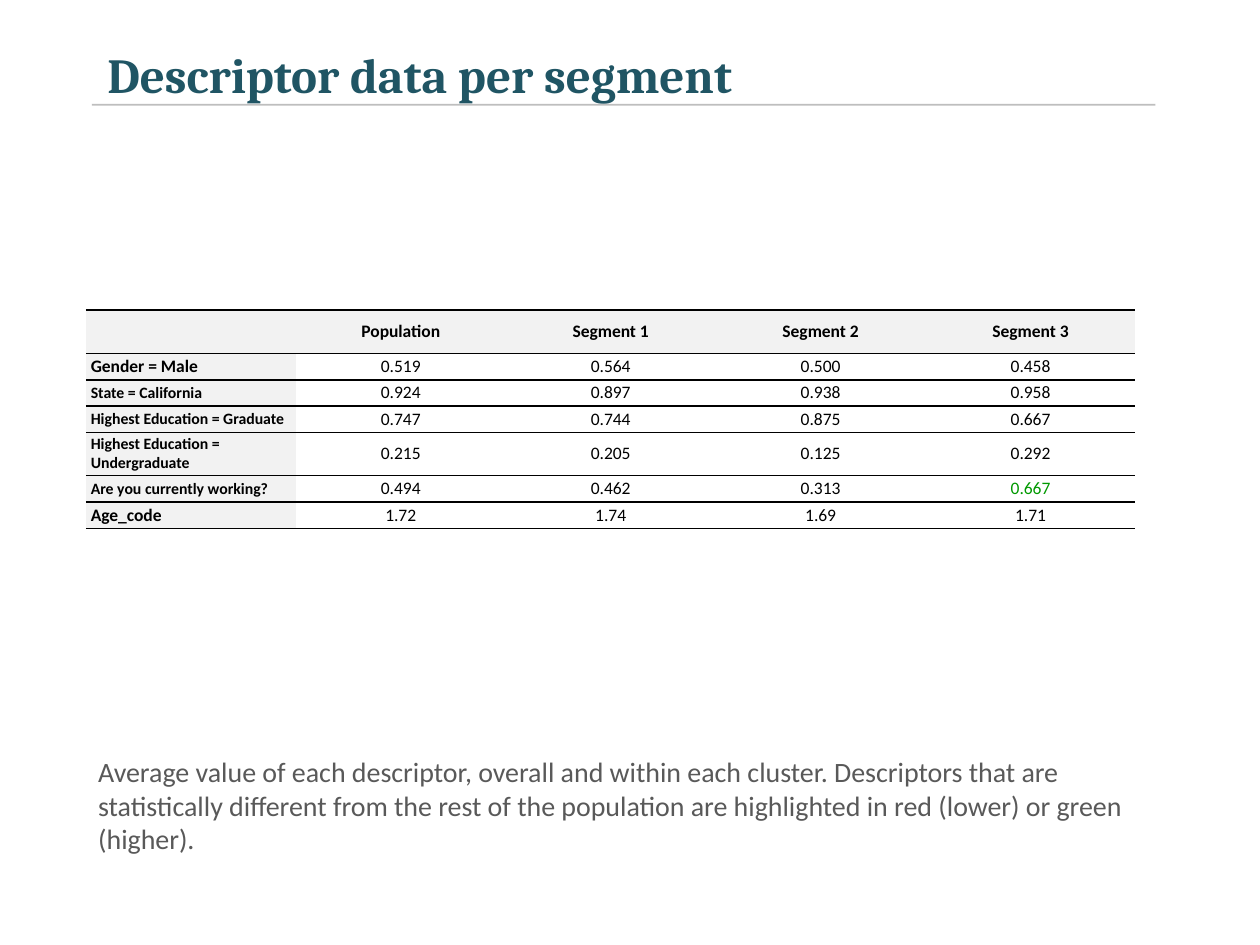
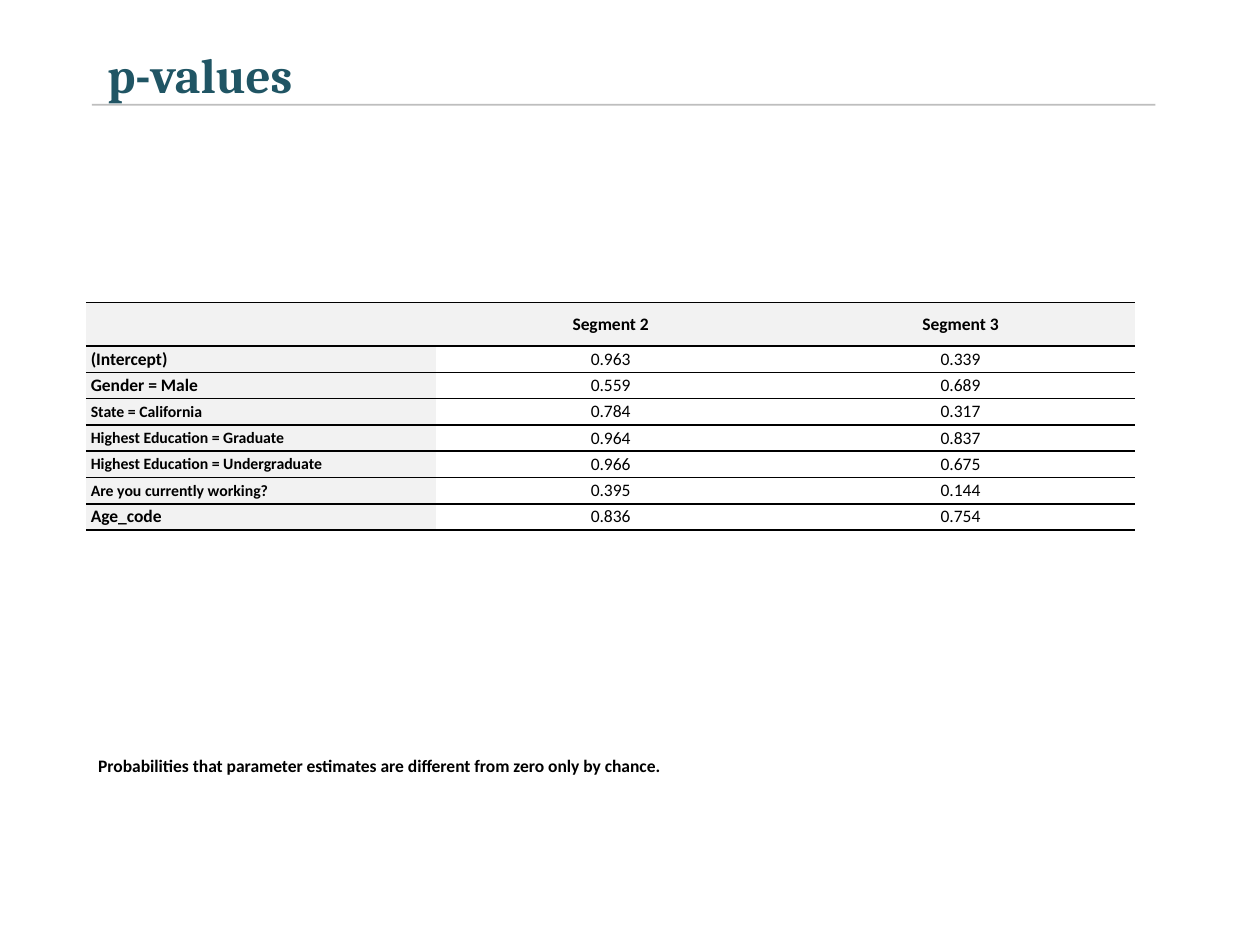
from lxml.etree import SubElement as Sub
from pptx import Presentation
from pptx.dml.color import RGBColor as RGB
from pptx.enum.text import MSO_ANCHOR as Anchor, MSO_AUTO_SIZE as Auto, PP_ALIGN as Align
from pptx.oxml.ns import qn
from pptx.util import Cm, Pt

# Colours and fonts
TEAL = RGB(0x20, 0x55, 0x64)
BLACK = RGB(0, 0, 0)
WHITE = RGB(0xFF, 0xFF, 0xFF)
PALE = RGB(0xF2, 0xF2, 0xF2)
GREY = RGB(0x7F, 0x7F, 0x7F)
DARK = RGB(0x59, 0x59, 0x59)
GREEN = RGB(0, 0x99, 0)
SERIF, SANS = "Cambria", "Calibri"

# Content
SLIDES = [
    dict(
        title="Descriptor data per segment",
        top=6.25,
        heads=["Population", "Segment 1", "Segment 2", "Segment 3"],
        rows=[
            ("Gender = Male", "0.519", "0.564", "0.500", "0.458"),
            ("State = California", "0.924", "0.897", "0.938", "0.958"),
            ("Highest Education = Graduate", "0.747", "0.744", "0.875", "0.667"),
            ("Highest Education = Undergraduate", "0.215", "0.205", "0.125", "0.292"),
            ("Are you currently working?", "0.494", "0.462", "0.313", "0.667"),
            ("Age_code", "1.72", "1.74", "1.69", "1.71"),
        ],
        higher={(5, 4)},
        note="Average value of each descriptor, overall and within each cluster. "
             "Descriptors that are statistically different from the rest of the "
             "population are highlighted in red (lower) or green (higher).",
        style=dict(size=16, color=DARK),
    ),
    dict(
        title="p-values",
        top=6.1,
        heads=["Segment 2", "Segment 3"],
        rows=[
            ("(Intercept)", "0.963", "0.339"),
            ("Gender = Male", "0.559", "0.689"),
            ("State = California", "0.784", "0.317"),
            ("Highest Education = Graduate", "0.964", "0.837"),
            ("Highest Education = Undergraduate", "0.966", "0.675"),
            ("Are you currently working?", "0.395", "0.144"),
            ("Age_code", "0.836", "0.754"),
        ],
        higher=set(),
        note="Probabilities that parameter estimates are different from zero "
             "only by chance.",
        style=dict(size=10, bold=True),
    ),
]

# Layout, in centimetres
LEFT, WIDTH = 1.73, 21.16
HEAD, ROW = 0.87, 0.53
SHORT = 14  # labels shorter than this keep the full size


def write(frame, text, size=10, font=SANS, color=BLACK, bold=False, align=Align.LEFT):
    para = frame.paragraphs[0]
    para.alignment = align
    run = para.add_run()
    run.text = text
    run.font.name, run.font.size, run.font.bold = font, Pt(size), bold
    run.font.color.rgb = color


def add_title(slide, text):
    box = slide.shapes.title
    box.left, box.top, box.width, box.height = Cm(1.91), Cm(0), Cm(WIDTH), Cm(2.3)
    frame = box.text_frame
    frame.auto_size = Auto.NONE
    frame.vertical_anchor = Anchor.TOP
    frame.margin_top, frame.margin_bottom = Cm(0.9), Cm(0)
    write(frame, text, size=28, font=SERIF, color=TEAL, bold=True)


def add_rule(slide):
    rule = slide.shapes.add_connector(1, Cm(1.85), Cm(2.11), Cm(23.29), Cm(2.11))
    rule.line.color.rgb, rule.line.width = GREY, Pt(1)
    tint = rule.line._ln.find(".//" + qn("a:srgbClr"))
    Sub(tint, qn("a:alpha"), val="50000")
    Sub(rule._element.spPr, qn("a:effectLst"))


def set_edges(cell):
    """Black lines above and below, none at the sides."""
    props = cell._tc.get_or_add_tcPr()
    for side in "LR":
        Sub(Sub(props, qn("a:ln" + side)), qn("a:noFill"))
    for side in "TB":
        line = Sub(props, qn("a:ln" + side), w=str(Pt(1)))
        Sub(Sub(line, qn("a:solidFill")), qn("a:srgbClr"), val=str(BLACK))


def fill_cell(cell, text, row, col, color):
    set_edges(cell)
    cell.fill.solid()
    cell.fill.fore_color.rgb = WHITE if row and col else PALE
    cell.vertical_anchor = Anchor.MIDDLE
    cell.margin_top = cell.margin_bottom = Cm(0.05)
    cell.margin_left = cell.margin_right = Cm(0 if col else 0.05)
    if not text:
        return
    write(cell.text_frame, text, color=color, bold=not (row and col),
          size=10 if col or len(text) < SHORT else 9,
          align=Align.CENTER if col else Align.LEFT)
    if not col:
        cell.text_frame.paragraphs[0]._p.get_or_add_pPr().set("marL", str(Cm(0.05)))


def add_grid(slide, top, heads, rows, higher):
    data = [("", *heads), *rows]
    count = len(data[0])
    tall = HEAD + ROW * len(rows)
    grid = slide.shapes.add_table(len(data), count, Cm(LEFT), Cm(top),
                                  Cm(WIDTH), Cm(tall)).table
    grid.first_row = grid.horz_banding = False
    for col in grid.columns:
        col.width = Cm(WIDTH / count)
    for r, line in enumerate(data):
        grid.rows[r].height = Cm(ROW if r else HEAD)
        for c, text in enumerate(line):
            color = GREEN if (r, c) in higher else BLACK
            fill_cell(grid.cell(r, c), text, r, c, color)


def add_note(slide, text, style):
    box = slide.shapes.add_textbox(Cm(LEFT), Cm(15.09), Cm(WIDTH), Cm(2.64))
    box.text_frame.word_wrap = True
    write(box.text_frame, text, **style)


def main():
    deck = Presentation()
    deck.slide_width, deck.slide_height = Cm(25.4), Cm(19.05)
    for page in SLIDES:
        slide = deck.slides.add_slide(deck.slide_layouts[5])
        add_title(slide, page["title"])
        add_rule(slide)
        add_grid(slide, page["top"], page["heads"], page["rows"], page["higher"])
        add_note(slide, page["note"], page["style"])
    deck.save("out.pptx")


if __name__ == "__main__":
    main()
